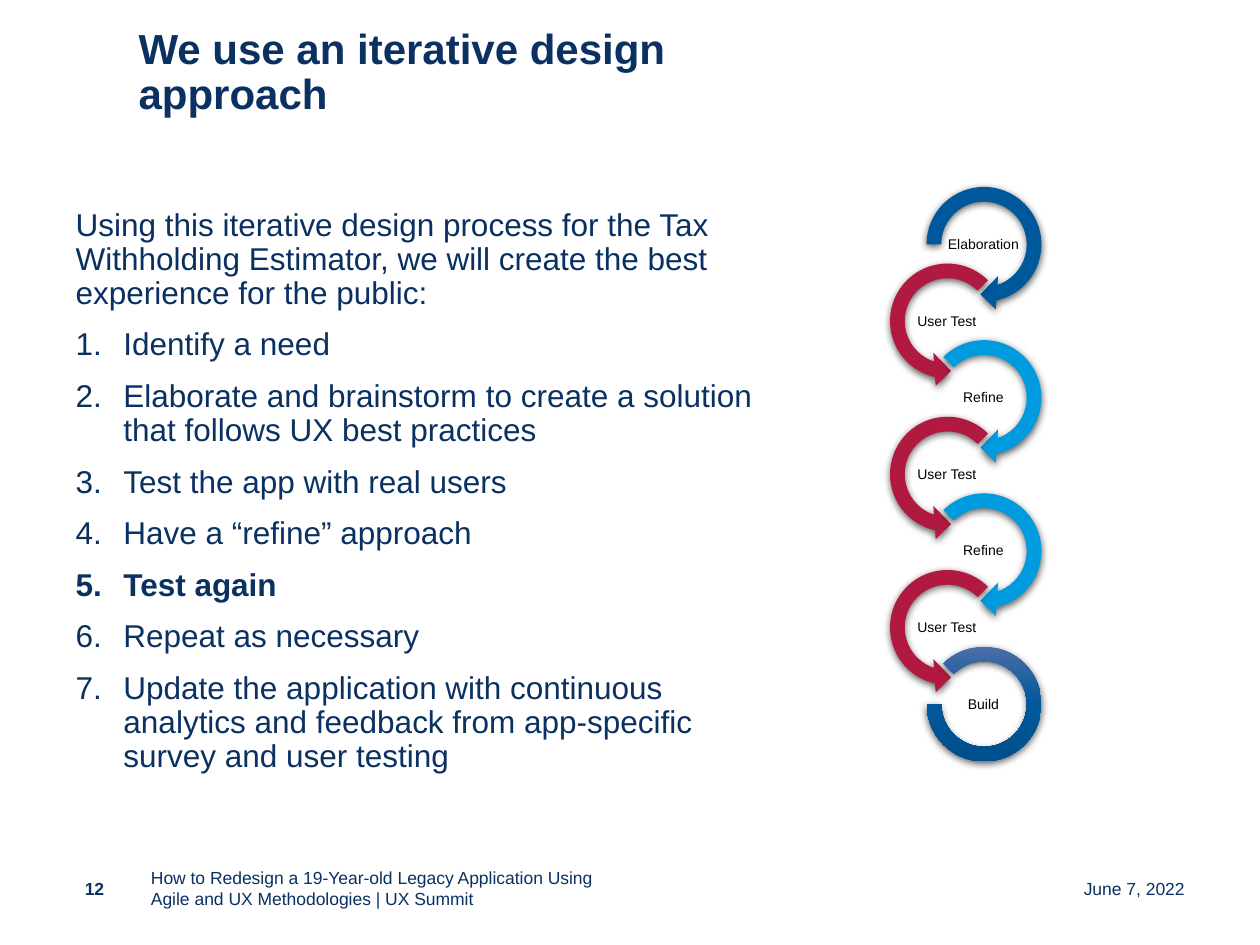
from copy import deepcopy

from lxml import etree
from pptx import Presentation
from pptx.dml.color import RGBColor
from pptx.enum.shapes import MSO_SHAPE
from pptx.enum.text import MSO_ANCHOR, MSO_AUTO_SIZE, PP_ALIGN
from pptx.oxml.ns import qn
from pptx.util import Inches, Pt

NAVY = RGBColor(0x0A, 0x31, 0x61)
DARK_NAVY = RGBColor(0x09, 0x30, 0x61)
BLUE = RGBColor(0x00, 0x58, 0x9C)
RED = RGBColor(0xB2, 0x19, 0x41)
SKY = RGBColor(0x00, 0x9B, 0xDE)
BLACK = RGBColor(0x00, 0x00, 0x00)
BUILD_STOPS = [(0, RGBColor(0x4B, 0x6E, 0xA7)), (0.5, BLUE),
               (1, RGBColor(0x00, 0x4E, 0x8B))]

RIGHT_ARROW = MSO_SHAPE.CIRCULAR_ARROW
LEFT_ARROW = MSO_SHAPE.LEFT_CIRCULAR_ARROW
ARC = MSO_SHAPE.BLOCK_ARC
TOP, MIDDLE = MSO_ANCHOR.TOP, MSO_ANCHOR.MIDDLE
LEFT, CENTER, RIGHT = PP_ALIGN.LEFT, PP_ALIGN.CENTER, PP_ALIGN.RIGHT

STEP_TOP, STEP_PITCH = 1.41, 0.608
RIGHT_X, LEFT_X = 7.28, 6.99
ARROW_SIZE, ARC_SIZE = 1.06, 0.91
FIRST_ADJ = (0.11, 11.42, 45, 108, 0.125)
RIGHT_ADJ = (0.11, 11.42, 45, 135, 0.125)
LEFT_ADJ = (0.11, 11.42, 63, 189, 0.125)
ARC_ADJ = (135, 108, 0.127)

STEPS = [
    ("Elaboration", RIGHT_ARROW, RIGHT_X, FIRST_ADJ, BLUE),
    ("User Test", LEFT_ARROW, LEFT_X, LEFT_ADJ, RED),
    ("Refine", RIGHT_ARROW, RIGHT_X, RIGHT_ADJ, SKY),
    ("User Test", LEFT_ARROW, LEFT_X, LEFT_ADJ, RED),
    ("Refine", RIGHT_ARROW, RIGHT_X, RIGHT_ADJ, SKY),
    ("User Test", LEFT_ARROW, LEFT_X, LEFT_ADJ, RED),
    ("Build", ARC, RIGHT_X, ARC_ADJ, None),
]

INTRO = ("Using this iterative design process for the Tax Withholding Estimator, "
         "we will create the best experience for the public:")
ITEMS = [
    [("Identify a need", NAVY, False)],
    [("Elaborate and brainstorm ", DARK_NAVY, False),
     ("to create a solution that follows UX best practices", NAVY, False)],
    [("Test the app with real users", NAVY, False)],
    [("Have a “refine” approach", NAVY, False)],
    [("Test again", NAVY, True)],
    [("Repeat as necessary", NAVY, False)],
    [("Update the application with continuous analytics and feedback from "
      "app-specific survey and user testing", NAVY, False)],
]


class SlideBuilder:
    font = "Arial"

    def __init__(self, slide):
        self.s = slide

    def place(self, sp, x, y, w, h, anchor):
        sp.left, sp.top, sp.width, sp.height = map(Inches, (x, y, w, h))
        tf = sp.text_frame
        tf.word_wrap = True
        tf.auto_size = MSO_AUTO_SIZE.NONE
        tf.vertical_anchor = anchor
        return tf

    def run(self, p, text, size, color=NAVY, bold=False):
        r = p.add_run()
        r.text = text
        r.font.name = self.font
        r.font.size = Pt(size)
        r.font.bold = bold
        r.font.color.rgb = color

    def title(self, text, box):
        tf = self.place(self.s.shapes.title, *box, MIDDLE)
        tf.margin_right = Inches(0.3)
        p = tf.paragraphs[0]
        p.alignment = LEFT
        p.line_spacing = 0.9
        self.run(p, text, 24, bold=True)

    def body(self, intro, items, box):
        tf = self.place(self.s.placeholders[1], *box, TOP)
        p = tf.paragraphs[0]
        self.bullet(p, 0, "buNone")
        p.space_before = Pt(0)
        self.run(p, intro, 18, DARK_NAVY)
        for runs in items:
            p = tf.add_paragraph()
            p.level = 1
            self.bullet(p, 0.38, "buAutoNum")
            p.space_before = Pt(4)
            for text, color, bold in runs:
                self.run(p, text, 18, color, bold)

    def bullet(self, p, indent, kind):
        pPr = p._p.get_or_add_pPr()
        pPr.set("marL", str(Inches(indent)))
        pPr.set("indent", str(-Inches(indent)))
        if kind == "buAutoNum":
            clr = etree.SubElement(pPr, qn("a:buClr"))
            etree.SubElement(clr, qn("a:srgbClr"), val=str(DARK_NAVY))
            etree.SubElement(pPr, qn("a:buFont"), typeface="+mj-lt")
            etree.SubElement(pPr, qn("a:buAutoNum"), type="arabicPeriod")
        else:
            etree.SubElement(pPr, qn("a:buNone"))
        p.alignment = LEFT
        p.line_spacing = 0.9
        p.space_after = Pt(6)

    def text(self, text, box, size=10, align=LEFT, color=NAVY, bold=False,
             parent=None, margin=None):
        shapes = (parent or self.s).shapes
        sp = shapes.add_textbox(*map(Inches, box))
        tf = self.place(sp, *box, MIDDLE)
        if margin is not None:
            tf.margin_left = tf.margin_right = Inches(margin)
            tf.margin_top = tf.margin_bottom = Inches(margin)
        p = tf.paragraphs[0]
        p.alignment = align
        self.run(p, text, size, color, bold)

    def ring(self, group, kind, x, y, size, adjustments, color):
        sp = group.shapes.add_shape(kind, *map(Inches, (x, y, size, size)))
        for i, value in enumerate(adjustments):
            sp.adjustments[i] = value
        if color is None:
            self.gradient(sp, BUILD_STOPS)
        else:
            sp.fill.solid()
            sp.fill.fore_color.rgb = color
        sp.line.fill.background()
        self.shadow(sp)

    def gradient(self, sp, stops):
        sp.fill.gradient()
        sp.fill.gradient_angle = 270
        gs_lst = sp._element.spPr.find(".//" + qn("a:gsLst"))
        gs_lst.insert(1, deepcopy(gs_lst[0]))
        for stop, (position, color) in zip(sp.fill.gradient_stops, stops):
            stop.position = position
            stop.color.rgb = color

    def shadow(self, sp):
        sp.shadow.inherit = False
        effects = sp._element.spPr.find(qn("a:effectLst"))
        outer = etree.SubElement(effects, qn("a:outerShdw"), blurRad=str(Pt(4.5)),
                                 dist=str(Pt(1.5)), dir="5400000", rotWithShape="0")
        clr = etree.SubElement(outer, qn("a:srgbClr"), val=str(BLACK))
        etree.SubElement(clr, qn("a:alpha"), val="63000")

    def cycle(self, steps):
        group = self.s.shapes.add_group_shape()
        for i, (label, kind, x, adjustments, color) in enumerate(steps):
            y = STEP_TOP + i * STEP_PITCH
            size = ARC_SIZE if kind == ARC else ARROW_SIZE
            inset = (ARROW_SIZE - size) / 2
            self.ring(group, kind, x + inset, y + inset, size, adjustments, color)
            self.text(label, (x + 0.23, y + 0.38, 0.59, 0.29), 8, CENTER, BLACK,
                      parent=group, margin=0.01)


def main():
    prs = Presentation()
    prs.slide_width, prs.slide_height = Inches(10), Inches(7.5)
    b = SlideBuilder(prs.slides.add_slide(prs.slide_layouts[1]))
    b.title("We use an iterative design approach", (1, 0.21, 6, 0.75))
    b.body(INTRO, ITEMS, (0.5, 1.61, 5.77, 4.79))
    b.cycle(STEPS)
    b.text("12", (0.5, 6.85, 0.5, 0.4), align=CENTER, bold=True)
    b.text("How to Redesign a 19-Year-old Legacy Application Using Agile and UX "
           "Methodologies | UX Summit", (1.1, 6.85, 4, 0.4))
    b.text("June 7, 2022", (7.32, 6.85, 2.18, 0.4), align=RIGHT)
    prs.save("out.pptx")


if __name__ == "__main__":
    main()
